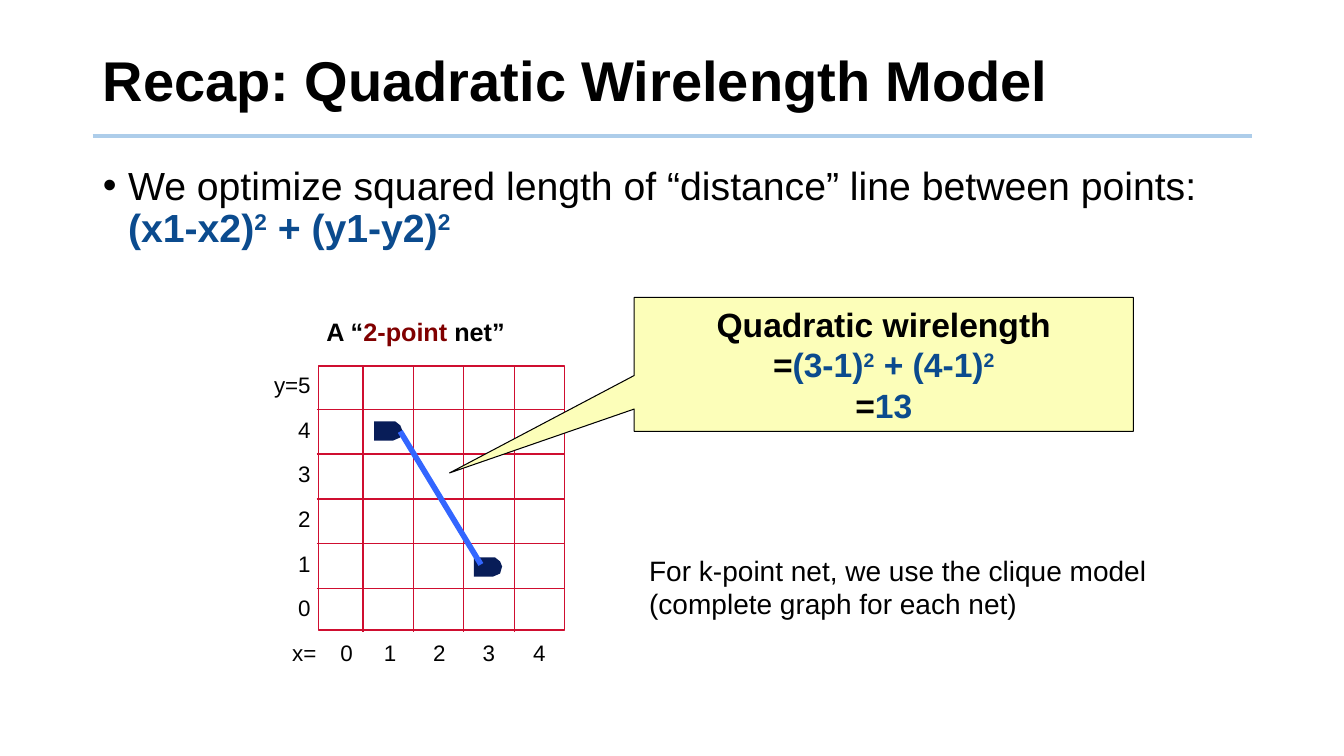
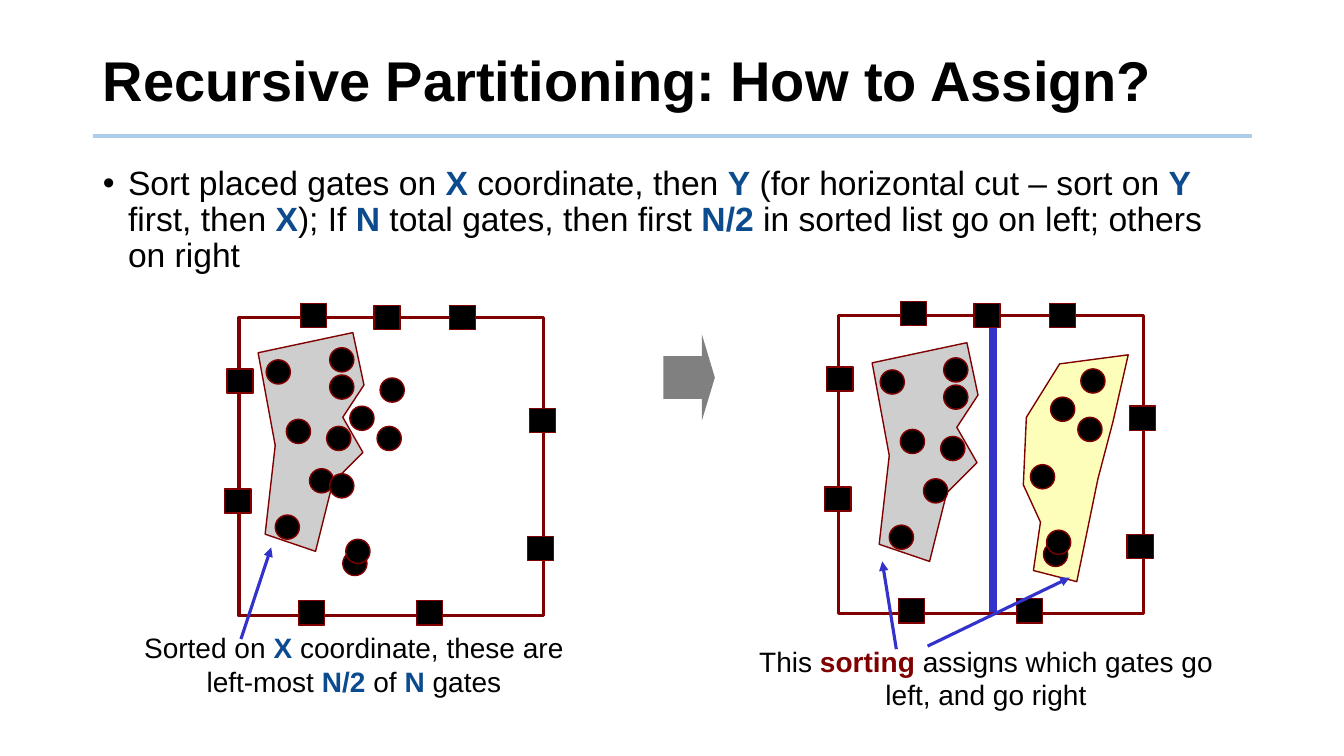
"""Build two slides on quadratic wirelength and recursive partitioning."""
from dataclasses import dataclass
from typing import NamedTuple, Optional

from pptx import Presentation, oxml
from pptx import util as u
from pptx.dml.color import RGBColor
from pptx.enum import shapes, text
from pptx.oxml.ns import qn

COLS, ROWS = 13.33, 7.5
WIDE, TALL = u.Inches(COLS), u.Inches(ROWS)
FONT = "Arial"
HUES = {
    "ink": "000000", "paper": "FFFFFF", "rule": "ADCDEA", "key": "0B4B8E",
    "wine": "800000", "grid": "CF0E30", "pin": "081D58", "link": "3366FF",
    "note": "FCFEB9", "grey": "CECECE", "block": "808080", "cut": "3333CC",
}
ALIGN = text.PP_ALIGN
KIND = shapes.MSO_SHAPE
Pairs = list[tuple[float, float]]


class Box(NamedTuple):
    x: float
    y: float
    w: float
    h: float


class Look(NamedTuple):
    fill: Optional[str] = None
    line: Optional[str] = None
    width: float = 1


class Span(NamedTuple):
    text: str
    hue: str = "ink"
    bold: bool = False
    raised: bool = False


@dataclass(frozen=True)
class Style:
    size: float
    align: ALIGN = ALIGN.LEFT
    lead: float = 1
    gap: float = 0


@dataclass(frozen=True)
class Stroke:
    x1: float
    y1: float
    x2: float
    y2: float
    hue: str
    width: float
    arrow: bool = False


def key(words: str) -> Span:
    return Span(words, "key", True)


def bold(words: str) -> Span:
    return Span(words, "ink", True)


SQUARE = Span("2", "key", True, True)
LEFT = Box(2.37, 3.15, 3.02, 2.96)
RIGHT = Box(8.32, 3.13, 3.02, 2.96)
PADS: Pairs = [(-0.12, 0.51), (-0.14, 1.7), (0.59, 2.81), (1.76, 2.81),
               (2.86, 2.17), (2.88, 0.9), (2.09, -0.12), (1.34, -0.12),
               (0.61, -0.14)]
NEAR: Pairs = [(2.64, 3.57), (2.84, 4.16), (2.73, 5.11), (3.24, 4.23),
               (3.07, 4.65), (3.27, 3.45), (3.27, 3.72)]
FAR: Pairs = [(3.4, 5.47), (3.27, 4.7), (3.43, 5.35), (3.47, 4.03),
              (3.74, 4.23), (3.77, 3.75)]
CLUMP: Pairs = [(2.56, 3.5), (2.73, 4.42), (2.63, 5.3), (3.13, 5.47),
                (3.3, 4.79), (3.6, 4.49), (3.4, 4.14), (3.61, 3.82),
                (3.5, 3.3)]
REST: Pairs = [(10.51, 3.61), (10.18, 4.14), (10.15, 4.81), (10.32, 5.18),
               (10.25, 5.66), (10.68, 5.77), (10.89, 4.75), (11.04, 4.18),
               (11.19, 3.52)]
PIN: Pairs = [(0, 0), (0, 0.19), (0.19, 0.19), (0.26, 0.16), (0.28, 0.09),
              (0.26, 0.04), (0.21, 0)]


def col(x: float) -> int:
    return round(WIDE * x / COLS)


def row(y: float) -> int:
    return round(TALL * y / ROWS)


def hue(name: str) -> RGBColor:
    return RGBColor.from_string(HUES[name])


def shift(spots: Pairs, dx: float, dy: float) -> Pairs:
    return [(x + dx, y + dy) for x, y in spots]


def place(item, box: Box) -> None:
    item.left, item.top = col(box.x), row(box.y)
    item.width, item.height = col(box.w), row(box.h)


def write(frame, lines: list[list[Span]], style: Style) -> None:
    frame.word_wrap = True
    frame.auto_size = text.MSO_AUTO_SIZE.NONE
    for i, spans in enumerate(lines):
        para = frame.add_paragraph() if i else frame.paragraphs[0]
        para.alignment = style.align
        para.line_spacing = style.lead
        para.space_before = u.Pt(style.gap if i else 0)
        for span in spans:
            run = para.add_run()
            run.text = span.text
            run.font.name, run.font.size = FONT, u.Pt(style.size)
            run.font.bold = span.bold
            run.font.color.rgb = hue(span.hue)
            if span.raised:
                run._r.get_or_add_rPr().set("baseline", "30000")


def label(slide, box: Box, lines: list[list[Span]], style: Style):
    item = slide.shapes.add_textbox(0, 0, 0, 0)
    place(item, box)
    write(item.text_frame, lines, style)
    return item


def paint(item, look: Look) -> None:
    item.shadow.inherit = False
    if look.fill:
        item.fill.solid()
        item.fill.fore_color.rgb = hue(look.fill)
    else:
        item.fill.background()
    if look.line:
        item.line.color.rgb = hue(look.line)
        item.line.width = u.Pt(look.width)
    else:
        item.line.fill.background()


def shape(slide, kind: KIND, box: Box, look: Look, adjust: tuple = ()):
    item = slide.shapes.add_shape(kind, 0, 0, 0, 0)
    place(item, box)
    paint(item, look)
    for i, value in enumerate(adjust):
        item.adjustments[i] = value
    return item


def outline(slide, spots: Pairs, look: Look) -> None:
    dots = [(col(x), row(y)) for x, y in spots]
    pen = slide.shapes.build_freeform(*dots[0])
    pen.add_line_segments(dots[1:], close=True)
    paint(pen.convert_to_shape(), look)


def stroke(slide, mark: Stroke) -> None:
    item = slide.shapes.add_connector(
        shapes.MSO_CONNECTOR.STRAIGHT,
        col(mark.x1), row(mark.y1), col(mark.x2), row(mark.y2))
    item.line.color.rgb = hue(mark.hue)
    item.line.width = u.Pt(mark.width)
    props = item._element.spPr
    if mark.arrow:
        head = oxml.parse_xml(
            '<a:tailEnd xmlns:a="http://schemas.openxmlformats.org/'
            'drawingml/2006/main" type="triangle"/>')
        props.find(qn("a:ln")).append(head)
    props.append(props.makeelement(qn("a:effectLst"), {}))


def start(deck, title: str, body: list[Span], size: float):
    slide = deck.slides.add_slide(deck.slide_layouts[1])
    head, main = slide.placeholders
    stroke(slide, Stroke(0.92, 1.35, 12.42, 1.35, "rule", 3))
    place(head, Box(0.92, 0.28, 11.5, 1.1))
    write(head.text_frame, [[bold(title)]], Style(40, lead=0.9))
    head.text_frame.vertical_anchor = text.MSO_ANCHOR.MIDDLE
    place(main, Box(0.92, 1.6, 11.5, 5.15))
    props = main.text_frame.paragraphs[0]._p.get_or_add_pPr()
    props.set("marL", str(col(0.25)))
    props.set("indent", str(-col(0.25)))
    props.append(props.makeelement(qn("a:buChar"), {"char": "•"}))
    write(main.text_frame, [body], Style(size, lead=0.9))
    return slide


def model(deck) -> None:
    slide = start(deck, "Recap: Quadratic Wirelength Model", [
        Span("We optimize squared length of “distance” line between points: "),
        key("(x1-x2)"), SQUARE, key(" + (y1-y2)"), SQUARE], 28)
    shape(slide, KIND.RECTANGLE, Box(3.16, 3.63, 2.44, 2.62),
          Look(line="grid"))
    for i in range(4):
        x = 3.6 + 0.5 * i
        stroke(slide, Stroke(x, 3.63, x, 6.27, "grid", 1))
    for i in range(5):
        y = 4.06 + 1.78 * i / 4
        stroke(slide, Stroke(3.14, y, 5.6, y, "grid", 1))

    axis = label(slide, Box(2.8, 6.29, 2.9, 0.37), [], Style(16))
    para = axis.text_frame.paragraphs[0]
    props = para._p.get_or_add_pPr()
    tabs = props.makeelement(qn("a:tabLst"), {})
    for stop in (0.54, 0.97, 1.46, 1.95, 2.45):
        tabs.append(tabs.makeelement(
            qn("a:tab"), {"pos": str(col(stop)), "algn": "ctr"}))
    props.append(tabs)
    write(axis.text_frame, [[Span("x=\t0\t1\t2\t3\t4")]], Style(16))
    label(slide, Box(2.41, 3.54, 0.77, 2.66),
          [[Span(t)] for t in ("y=5", "4", "3", "2", "1", "0")],
          Style(16, ALIGN.RIGHT, 1.35, 6))

    for x, y in ((3.71, 4.18), (4.7, 5.53)):
        outline(slide, shift(PIN, x, y), Look("pin"))
    label(slide, Box(3.14, 3.09, 2.2, 0.4), [[
        bold("A “"), Span("2-point", "wine", True), bold(" net”")]], Style(18))
    stroke(slide, Stroke(3.97, 4.28, 4.77, 5.6, "link", 4))
    note = shape(slide, KIND.RECTANGULAR_CALLOUT, Box(6.29, 2.95, 4.95, 1.33),
                 Look("note", "ink", 0.75), (-0.87, 0.81))
    write(note.text_frame, [
        [bold("Quadratic wirelength")],
        [bold("="), key("(3-1)"), SQUARE, key(" + (4-1)"), SQUARE],
        [bold("="), key("13")]], Style(24, ALIGN.CENTER))
    label(slide, Box(6.34, 5.44, 5.44, 0.77), [[Span(
        "For k-point net, we use the clique model "
        "(complete graph for each net)")]], Style(20))


def panel(slide, frame: Box, clump: Pairs, gates: Pairs) -> None:
    dark = Look("ink", "wine")
    outline(slide, clump, Look("grey", "wine"))
    shape(slide, KIND.RECTANGLE, frame, Look(None, "wine", 2.25))
    for x, y in gates:
        shape(slide, KIND.OVAL, Box(x, y, 0.24, 0.24), dark)
    for x, y in shift(PADS, frame.x, frame.y):
        shape(slide, KIND.RECTANGLE, Box(x, y, 0.26, 0.24), dark)


def assign(deck) -> None:
    slide = start(deck, "Recursive Partitioning: How to Assign?", [
        Span("Sort placed gates on "), key("X"), Span(" coordinate, then "),
        key("Y"), Span(" (for horizontal cut – sort on "), key("Y"),
        Span(" first, then "), key("X"), Span("); If "), key("N"),
        Span(" total gates, then first "), key("N/2 "),
        Span("in sorted list go on left; others on right")], 24)
    outline(slide, REST, Look("note", "wine"))
    panel(slide, LEFT, CLUMP, NEAR + FAR)
    shape(slide, KIND.RIGHT_ARROW, Box(6.58, 3.32, 0.51, 0.85),
          Look("block"), (0.5, 0.25))
    stroke(slide, Stroke(9.85, 3.13, 9.85, 6.07, "cut", 6))
    panel(slide, RIGHT, shift(CLUMP, 6.09, 0.1),
          shift(NEAR, 6.09, 0.1) + shift(FAR, 6.95, -0.09))
    for ends in ((8.89, 6.44, 8.75, 5.57), (2.39, 6.34, 2.69, 5.43),
                 (9.2, 6.41, 10.61, 5.73)):
        stroke(slide, Stroke(*ends, "cut", 2.25, True))
    style = Style(20, ALIGN.CENTER)
    label(slide, Box(1.1, 6.21, 4.82, 0.77), [[
        Span("Sorted on "), key("X"), Span(" coordinate, these are left-most "),
        key("N/2"), Span(" of "), key("N"), Span(" gates")]], style)
    label(slide, Box(7.32, 6.34, 4.92, 0.77), [[
        Span("This "), Span("sorting ", "wine", True),
        Span("assigns which gates go left, and go right")]], style)


def main() -> None:
    deck = Presentation()
    deck.slide_width, deck.slide_height = WIDE, TALL
    model(deck)
    assign(deck)
    deck.save("out.pptx")


if __name__ == "__main__":
    main()
